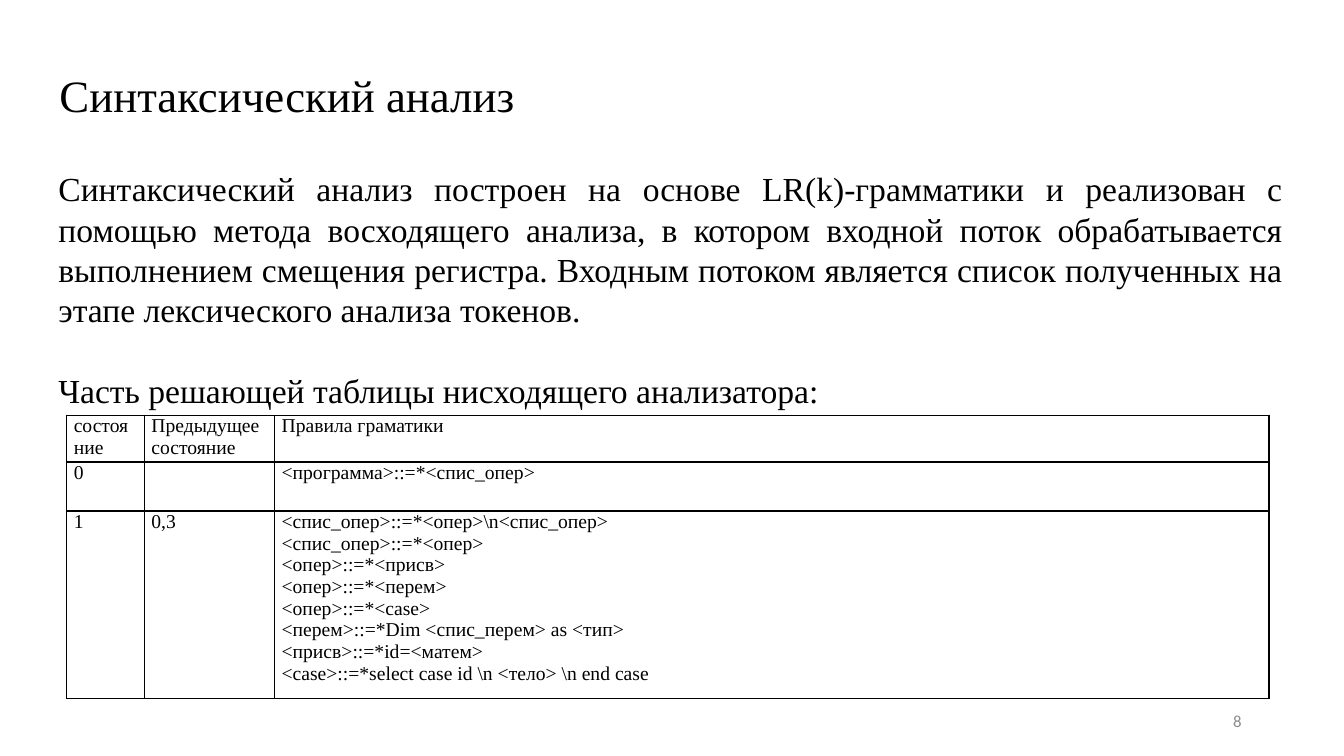
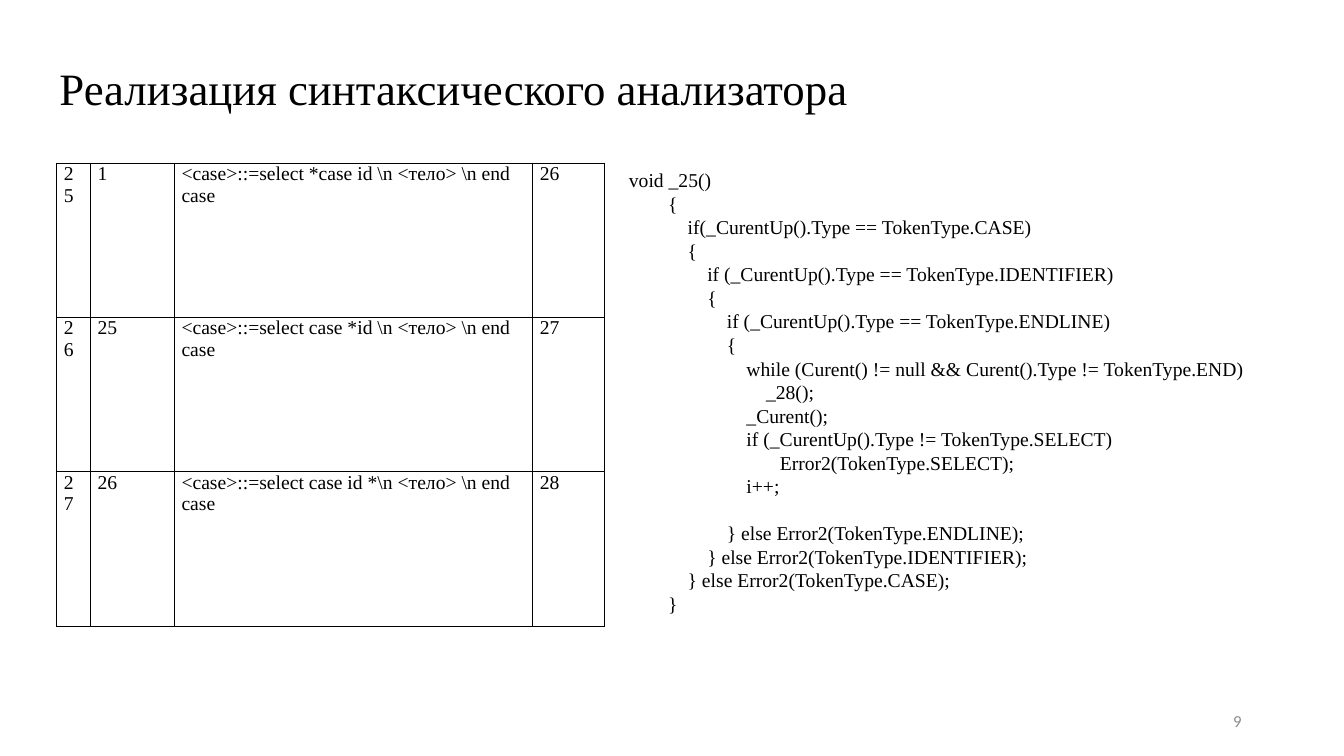
from dataclasses import dataclass
from typing import NamedTuple

from lxml.etree import SubElement
from pptx import Presentation
from pptx.dml.color import RGBColor
from pptx.enum.text import MSO_ANCHOR as Anchor, MSO_AUTO_SIZE as AutoSize, PP_ALIGN as Align
from pptx.oxml.ns import qn
from pptx.util import Pt


class Box(NamedTuple):
    x: float
    y: float
    w: float
    h: float


@dataclass(frozen=True)
class Theme:
    font: str = "Times New Roman"
    number_font: str = "Calibri"
    ink: RGBColor = RGBColor(0, 0, 0)
    muted: RGBColor = RGBColor(0x8C, 0x8C, 0x8C)
    title: float = 32
    body: float = 24
    small: float = 14
    number: float = 12
    leading: float = 1.2
    cell_inset: float = 5.2
    code_step: float = 14


THEME = Theme()
SLIDE = Box(0, 0, 960, 540)

INTRO = [
    "Синтаксический анализ построен на основе LR(k)-грамматики и реализован с помощью "
    "метода восходящего анализа, в котором входной поток обрабатывается выполнением "
    "смещения регистра. Входным потоком является список полученных на этапе "
    "лексического анализа токенов.",
    "Часть решающей таблицы нисходящего анализатора:",
]

START_RULES = "\n".join([
    r"<спис_опер>::=*<опер>\n<спис_опер>",
    "<спис_опер>::=*<опер>",
    "<опер>::=*<присв>",
    "<опер>::=*<перем>",
    "<опер>::=*<case>",
    "<перем>::=*Dim <спис_перем> as <тип>",
    "<присв>::=*id=<матем>",
    r"<case>::=*select case id \n <тело> \n end case",
])

GRAMMAR_ROWS = [
    ("состояние", "Предыдущее состояние", "Правила граматики"),
    ("0", "", "<программа>::=*<спис_опер>"),
    ("1", "0,3", START_RULES),
]

CASE_ROWS = [
    ("25", "1", r"<case>::=select *case id \n <тело> \n end case", "26"),
    ("26", "25", r"<case>::=select case *id \n <тело> \n end case", "27"),
    ("27", "26", r"<case>::=select case id *\n <тело> \n end case", "28"),
]

CODE_HEAD = [
    (0, "void _25()"),
    (2, "{"),
    (3, "if(_CurentUp().Type == TokenType.CASE)"),
    (3, "{"),
    (4, "if (_CurentUp().Type == TokenType.IDENTIFIER)"),
    (4, "{"),
    (5, "if (_CurentUp().Type == TokenType.ENDLINE)"),
    (5, "{"),
    (6, "while (Curent() != null && Curent().Type != TokenType.END)"),
    (7, "_28();"),
    (6, "_Curent();"),
    (6, "if (_CurentUp().Type != TokenType.SELECT)"),
    (7.7, "Error2(TokenType.SELECT);"),
    (6, "i++;"),
]

CODE_TAIL = [
    (5, "} else Error2(TokenType.ENDLINE);"),
    (4, "} else Error2(TokenType.IDENTIFIER);"),
    (3, "} else Error2(TokenType.CASE);"),
    (2, "}"),
]


def place(shape, box):
    shape.left, shape.top, shape.width, shape.height = map(Pt, box)


def style(p, size, color=THEME.ink, font=THEME.font, align=Align.LEFT):
    p.alignment = align
    p.font.name = font
    p.font.size = Pt(size)
    p.font.color.rgb = color


def prepare(tf, anchor=Anchor.TOP):
    tf.word_wrap = True
    tf.auto_size = AutoSize.NONE
    tf.vertical_anchor = anchor


def add_title(s, text, box):
    title = s.shapes.title
    place(title, box)
    tf = title.text_frame
    prepare(tf)
    tf.margin_left = tf.margin_top = 0
    tf.text = text
    style(tf.paragraphs[0], THEME.title)


def add_body(s, lines, box, size, align=Align.LEFT, gap_before=None):
    body = s.placeholders[1]
    place(body, box)
    tf = body.text_frame
    prepare(tf)
    leading = Pt(size * THEME.leading)
    for i, (indent, text) in enumerate(lines):
        p = tf.add_paragraph() if i else tf.paragraphs[0]
        p.text = text
        style(p, size, align=align)
        p.line_spacing = leading
        p.space_before = leading if i == gap_before else Pt(0)
        pPr = p._p.get_or_add_pPr()
        pPr.set("marL", str(Pt(indent)))
        pPr.set("indent", "0")
        pPr.insert_element_before(pPr.makeelement(qn("a:buNone")), "a:tabLst", "a:defRPr")


def add_number(s, number, box):
    tb = s.shapes.add_textbox(*map(Pt, box))
    tf = tb.text_frame
    prepare(tf, Anchor.MIDDLE)
    tf.text = str(number)
    style(tf.paragraphs[0], THEME.number, THEME.muted, THEME.number_font, Align.RIGHT)


def add_borders(cell):
    tcPr = cell._tc.get_or_add_tcPr()
    for side in ("lnL", "lnR", "lnT", "lnB"):
        ln = SubElement(tcPr, qn(f"a:{side}"), w=str(Pt(1)))
        fill = SubElement(ln, qn("a:solidFill"))
        SubElement(fill, qn("a:srgbClr"), val=str(THEME.ink))


def add_grid(s, rows, x, y, widths, heights):
    box = Box(x, y, sum(widths), sum(heights))
    table = s.shapes.add_table(len(rows), len(widths), *map(Pt, box)).table
    table.first_row = table.horz_banding = False
    for column, width in zip(table.columns, widths):
        column.width = Pt(width)
    for row, height, texts in zip(table.rows, heights, rows):
        row.height = Pt(height)
        for cell, text in zip(row.cells, texts):
            cell.margin_left = cell.margin_right = Pt(THEME.cell_inset)
            cell.margin_top = cell.margin_bottom = 0
            add_borders(cell)
            cell.fill.background()
            cell.text = text
            for p in cell.text_frame.paragraphs:
                style(p, THEME.small)


def add_slide(prs, title, title_y, number):
    s = prs.slides.add_slide(prs.slide_layouts[1])
    add_title(s, title, Box(42.5, title_y, SLIDE.w - 85, 40))
    add_number(s, number, Box(678, 500.5, 216, 29))
    return s


def grammar_slide(prs):
    s = add_slide(prs, "Синтаксический анализ", 48.5, 8)
    add_body(s, [(0, text) for text in INTRO], Box(34.5, 116.5, 889, 180),
             THEME.body, Align.JUSTIFY, gap_before=1)
    add_grid(s, GRAMMAR_ROWS, 47.5, 296.5, (55.5, 93, 710.5), (33.5, 35, 134))


def implementation_slide(prs):
    s = add_slide(prs, "Реализация синтаксического анализатора", 43.5, 9)
    code = [(level * THEME.code_step, text) for level, text in CODE_HEAD + CODE_TAIL]
    add_body(s, code, Box(442, 116.5, 504, 380), THEME.small, gap_before=len(CODE_HEAD))
    add_grid(s, CASE_ROWS, 40.5, 116.5, (24, 60, 256, 51.5), [110.25] * len(CASE_ROWS))


def main():
    prs = Presentation()
    prs.slide_width, prs.slide_height = Pt(SLIDE.w), Pt(SLIDE.h)
    grammar_slide(prs)
    implementation_slide(prs)
    prs.save("out.pptx")


if __name__ == "__main__":
    main()
